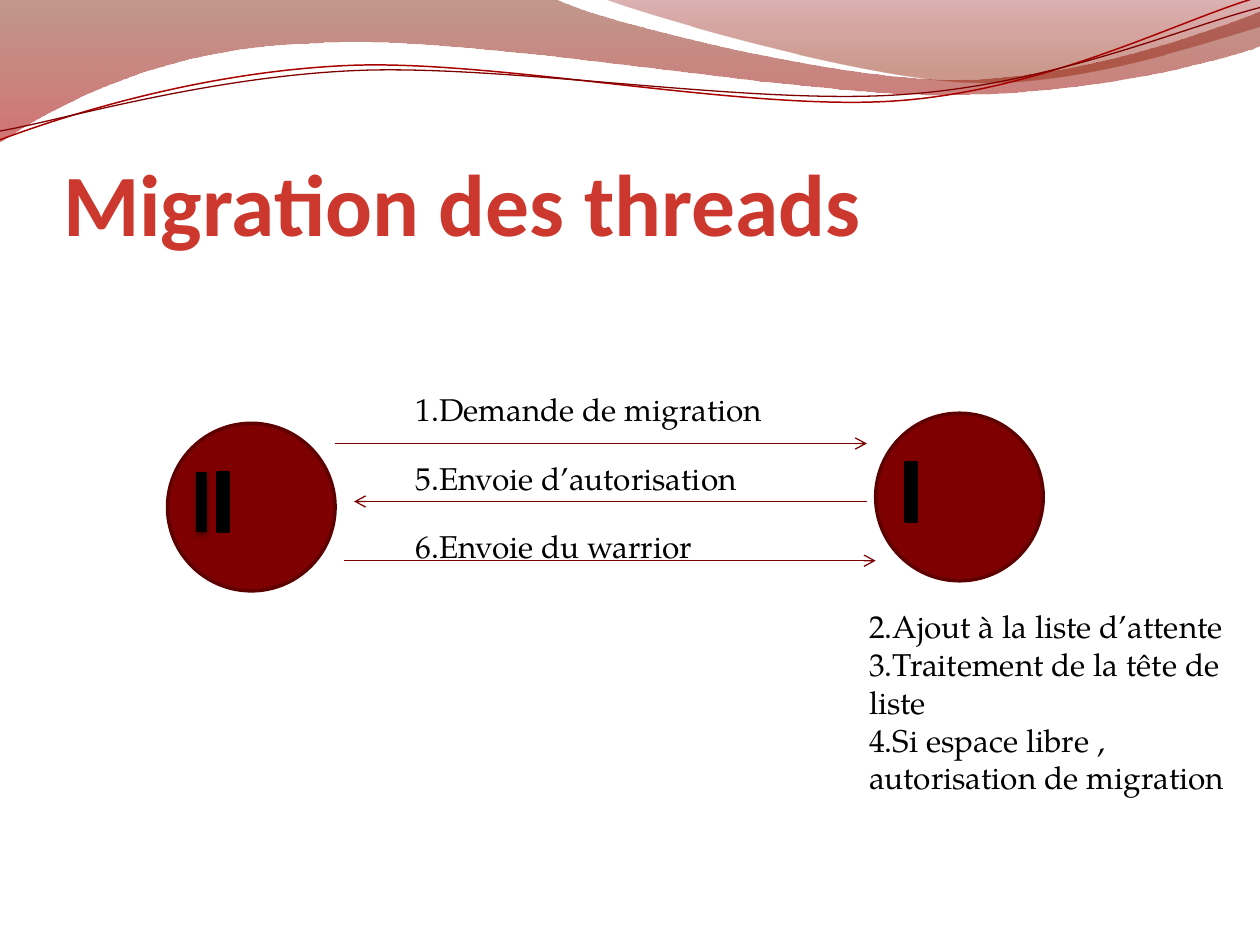
from lxml.etree import SubElement
from pptx import Presentation
from pptx.dml.color import RGBColor
from pptx.enum.shapes import MSO_CONNECTOR, MSO_SHAPE
from pptx.enum.text import MSO_ANCHOR, MSO_AUTO_SIZE, PP_ALIGN
from pptx.oxml.ns import qn
from pptx.util import Inches, Pt


def rgb(value):
    return RGBColor.from_string(value)


class SlideBuilder:
    title_font = "Calibri"
    body_font = "TeX Gyre Pagella"
    title_color = "CC372E"
    text_color = "000000"
    node_fill = "7F0000"
    node_line = "5E0000"
    arrow_color = "7C0000"

    def __init__(self, slide):
        self.s = slide

    def add_run(self, p, text, font, size, color, bold=False):
        r = p.add_run()
        r.text = text
        r.font.name = font
        r.font.size = Pt(size)
        r.font.bold = bold
        r.font.color.rgb = rgb(color)

    def title(self, text, x, y, w, h):
        sp = self.s.shapes.title
        sp._element.getparent().append(sp._element)
        sp.left, sp.top, sp.width, sp.height = map(Inches, (x, y, w, h))
        tf = sp.text_frame
        tf.auto_size = MSO_AUTO_SIZE.NONE
        tf.word_wrap = True
        tf.vertical_anchor = MSO_ANCHOR.BOTTOM
        tf.margin_left = tf.margin_right = tf.margin_bottom = 0
        tf.margin_top = Inches(0.05)
        p = tf.paragraphs[0]
        p.alignment = PP_ALIGN.LEFT
        self.add_run(p, text, self.title_font, 50, self.title_color, True)

    def text(self, lines, x, y, w, h):
        sp = self.s.shapes.add_textbox(*map(Inches, (x, y, w, h)))
        tf = sp.text_frame
        tf.word_wrap = True
        tf.auto_size = MSO_AUTO_SIZE.SHAPE_TO_FIT_TEXT
        for i, line in enumerate(lines):
            p = tf.add_paragraph() if i else tf.paragraphs[0]
            self.add_run(p, line, self.body_font, 18, self.text_color)

    def shape(self, kind, x, y, w, h, fill, line, width):
        sp = self.s.shapes.add_shape(kind, *map(Inches, (x, y, w, h)))
        sp.shadow.inherit = False
        sp.fill.solid()
        sp.fill.fore_color.rgb = rgb(fill)
        sp.line.color.rgb = rgb(line)
        sp.line.width = Pt(width)
        return sp

    def node(self, x, y):
        self.shape(MSO_SHAPE.OVAL, x, y, 1.33, 1.33, self.node_fill, self.node_line, 2)

    def bar(self, x, y, width=2):
        return self.shape(MSO_SHAPE.RECTANGLE, x, y, 0.08, 0.47, "000000", "000000", width)

    def soft_shadow(self, sp):
        effects = sp._element.spPr.find(qn("a:effectLst"))
        shadow = SubElement(
            effects, qn("a:outerShdw"), blurRad=str(Pt(3.1)), dist=str(Pt(1.8)),
            dir="5400000", rotWithShape="0",
        )
        color = SubElement(shadow, qn("a:srgbClr"), val="000000")
        SubElement(color, qn("a:alpha"), val="35000")

    def arrow(self, x1, y1, x2, y2):
        cn = self.s.shapes.add_connector(
            MSO_CONNECTOR.STRAIGHT, *map(Inches, (x1, y1, x2, y2))
        )
        cn.line.color.rgb = rgb(self.arrow_color)
        cn.line.width = Pt(0.75)
        SubElement(cn.line._get_or_add_ln(), qn("a:tailEnd"), type="arrow")
        SubElement(cn._element.spPr, qn("a:effectLst"))

    def outline(self, start, segments, close):
        points = [(Inches(x), Inches(y)) for seg in segments for x, y in seg]
        builder = self.s.shapes.build_freeform(*map(Inches, start))
        builder.add_line_segments(points, close=close)
        sp = builder.convert_to_shape()
        sp.shadow.inherit = False
        steps = iter(list(sp._element.iter(qn("a:lnTo"))))
        for seg in segments:
            group = [next(steps) for _ in seg]
            if len(seg) == 3:
                group[0].tag = qn("a:cubicBezTo")
                for step in group[1:]:
                    group[0].append(step[0])
                    step.getparent().remove(step)
        return sp

    def wave(self, start, segments, stops):
        sp = self.outline(start, segments, True)
        sp.line.fill.background()
        sp.fill.gradient()
        sp.fill.gradient_angle = 270
        for stop, (position, color, alpha) in zip(sp.fill.gradient_stops, stops):
            stop.position = position
            stop.color.rgb = rgb(color)
            clr = stop._gs.find(qn("a:srgbClr"))
            SubElement(clr, qn("a:alpha"), val=str(alpha * 1000))

    def curve(self, start, segments, color, width):
        sp = self.outline(start, segments, False)
        sp.fill.background()
        sp.line.color.rgb = rgb(color)
        sp.line.width = Pt(width)


def main():
    prs = Presentation()
    prs.slide_width, prs.slide_height = Inches(10), Inches(7.5)
    b = SlideBuilder(prs.slides.add_slide(prs.slide_layouts[5]))

    b.wave(
        (0, 0),
        [
            [(4.4, -0.01)],
            [(4.76, 0.17), (6.64, 0.63), (7.58, 0.63)],
            [(8.53, 0.63), (9.58, 0.26), (10, 0.09)],
            [(10.01, 0.36)],
            [(9.83, 0.44), (8.7, 0.76), (7.46, 0.75)],
            [(6.22, 0.75), (3.82, 0.28), (2.57, 0.34)],
            [(1.29, 0.36), (0.46, 0.83), (-0.01, 1.13)],
        ],
        [(0, "781A00", 45), (1, "AD0000", 55)],
    )
    b.wave(
        (4.79, -0.01),
        [
            [(5.09, 0.11), (6.82, 0.62), (7.69, 0.65)],
            [(8.56, 0.69), (9.61, 0.32), (10, 0.21)],
            [(10, 0)],
        ],
        [(0, "8D0000", 30), (0.8, "8F1E00", 45)],
    )
    b.curve(
        (0, 1.11),
        [
            [(0.48, 0.93), (1.58, 0.57), (2.77, 0.52)],
            [(3.95, 0.47), (5.93, 0.89), (7.13, 0.8)],
            [(8.33, 0.71), (9.38, 0.15), (9.98, -0.02)],
        ],
        "A90000", 0.85,
    )
    b.curve(
        (0, 1.04),
        [
            [(0.47, 0.96), (1.64, 0.61), (2.83, 0.56)],
            [(4.03, 0.51), (5.97, 0.84), (7.17, 0.75)],
            [(8.36, 0.67), (9.41, 0.21), (10, 0.06)],
        ],
        "7F0000", 0.75,
    )

    b.title("Migration des threads", 0.5, 0.77, 9, 1.25)
    b.node(1.33, 3.36)
    b.node(6.95, 3.28)

    messages = [
        ("1.Demande de migration", 3.05, (2.66, 3.52, 6.88, 3.52)),
        ("5.Envoie d’autorisation", 3.59, (6.88, 3.98, 2.81, 3.98)),
        ("6.Envoie du warrior", 4.13, (2.73, 4.45, 6.95, 4.45)),
    ]
    for label, y, ends in messages:
        b.arrow(*ends)
        b.text([label], 3.2, y, 2.97, 0.4)

    b.text(
        [
            "2.Ajout à la liste d’attente",
            "3.Traitement de la tête de liste",
            "4.Si espace libre , autorisation de migration",
        ],
        6.8, 4.77, 3.05, 1.62,
    )

    b.soft_shadow(b.bar(1.56, 3.75, 0.75))
    b.bar(1.73, 3.75)
    b.bar(7.19, 3.67)

    prs.save("out.pptx")


if __name__ == "__main__":
    main()
